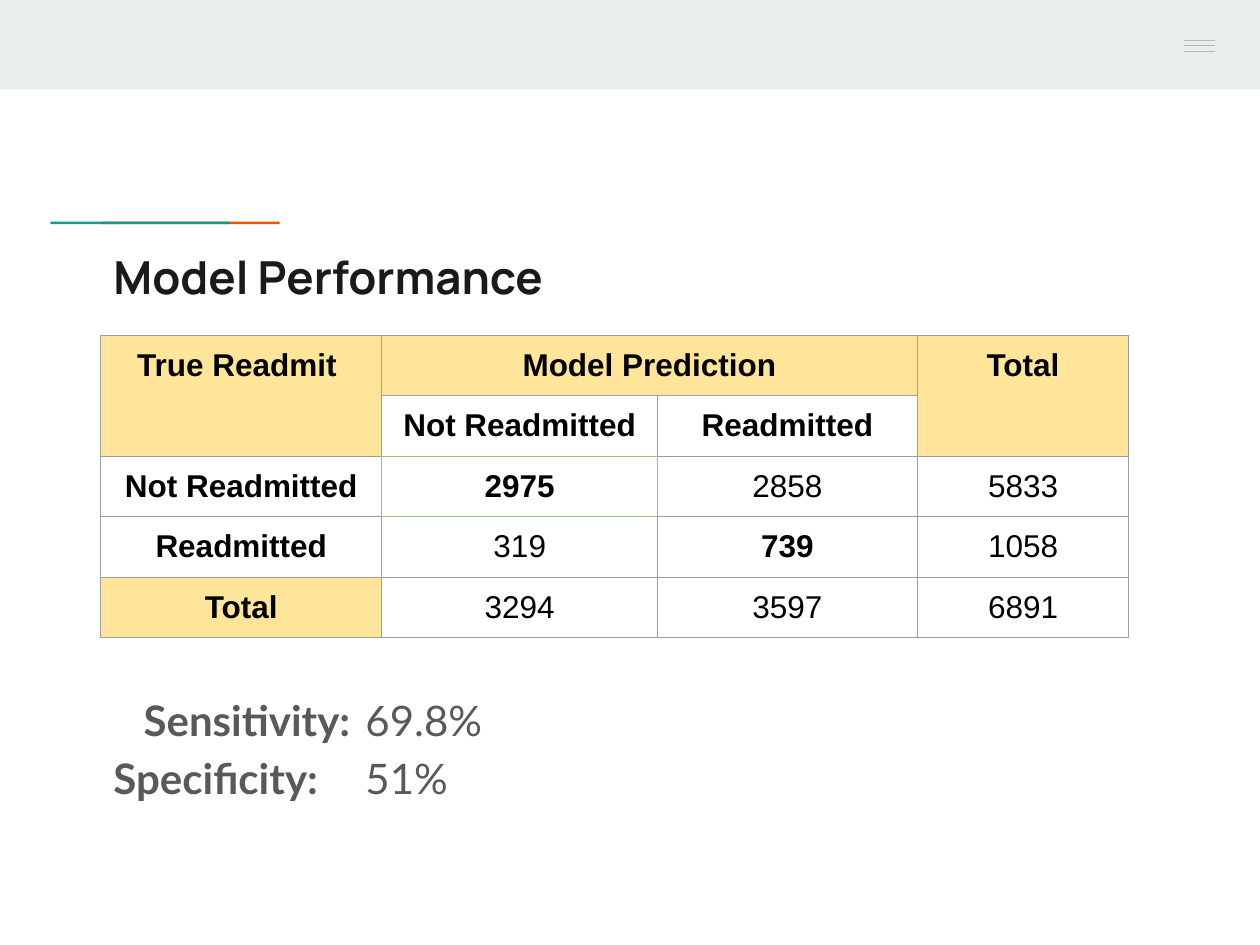
from lxml import etree
from pptx import Presentation, util as u
from pptx.dml.color import RGBColor
from pptx.enum import shapes, text
from pptx.oxml.ns import qn

GRAY, GREEN, YELLOW = "9E9E9E", "93C47D", "FFE599"
LEFT = 0.8


def color(hex_value):
    return RGBColor.from_string(hex_value)


def write(paragraph, content, font="Arial", size=18, hex_value="000000", bold=False):
    run = paragraph.add_run()
    run.text = content
    run.font.name, run.font.size, run.font.bold = font, u.Pt(size), bold
    run.font.color.rgb = color(hex_value)


presentation = Presentation()
presentation.slide_width, presentation.slide_height = u.Inches(10), u.Inches(7.5)
slide = presentation.slides.add_slide(presentation.slide_layouts[1])

# Top band and two overlapping accent strips
for left, top, width, height, fill in [
    (0, 0, 10, 0.71, "E9EDEE"),
    (0.81, 1.76, 1.41, 0.02, "EB5600"),
    (0.4, 1.76, 1.42, 0.02, "1A9988"),
]:
    strip = slide.shapes.add_shape(
        shapes.MSO_SHAPE.RECTANGLE, *map(u.Inches, (left, top, width, height)))
    strip.shadow.inherit = False
    strip.fill.solid()
    strip.fill.fore_color.rgb = color(fill)
    strip.line.fill.background()

# Menu icon
for y in (0.32, 0.36, 0.41):
    bar = slide.shapes.add_connector(
        shapes.MSO_CONNECTOR.STRAIGHT, *map(u.Inches, (9.4, y, 9.64, y)))
    bar.line.color.rgb = color("B7B7B7")
    bar.line.width = u.Pt(0.75)
    etree.SubElement(bar._element.spPr, qn("a:effectLst"))

# Title and body placeholders
title, body = slide.shapes.title, slide.placeholders[1]
for holder, top, height in [(title, 1.88, 0.78), (body, 5.35, 1.36)]:
    holder.left, holder.top = u.Inches(LEFT), u.Inches(top)
    holder.width, holder.height = u.Inches(8.41), u.Inches(height)
    frame = holder.text_frame
    frame.word_wrap = True
    frame.auto_size = text.MSO_AUTO_SIZE.NONE
    frame.vertical_anchor = text.MSO_ANCHOR.TOP
    frame.margin_left = frame.margin_right = u.Inches(0.1)
    frame.margin_top = frame.margin_bottom = u.Inches(0.1)

heading = title.text_frame.paragraphs[0]
heading.alignment = text.PP_ALIGN.LEFT
write(heading, "Model Performance", font="Manrope", size=26, hex_value="1A1A1A", bold=True)

# Measures: label, value, first-line indent and tab position
measures = [("Sensitivity:", "69.8%", 0.24, 2.13), ("Specificity:", "51%", 0, 1.96)]
for index, (label, value, indent, tab) in enumerate(measures):
    frame = body.text_frame
    paragraph = frame.add_paragraph() if index else frame.paragraphs[0]
    paragraph.line_spacing = 1.15
    paragraph.space_before = u.Pt(0)
    properties = paragraph._p.get_or_add_pPr()
    properties.set("marL", "0")
    properties.set("indent", str(u.Inches(indent)))
    etree.SubElement(properties, qn("a:buNone"))
    tabs = etree.SubElement(properties, qn("a:tabLst"))
    etree.SubElement(tabs, qn("a:tab"), pos=str(u.Inches(tab)), algn="l")
    write(paragraph, label + "\t", font="Lato", size=24, hex_value="595959", bold=True)
    write(paragraph, value, font="Lato", size=24, hex_value="595959")

# Confusion matrix
rows = [
    ["True Readmit ", "Model Prediction", "", "Total"],
    ["", "Not Readmitted", "Readmitted", ""],
    ["Not Readmitted", "2975", "2858", "5833"],
    ["Readmitted", "319", "739", "1058"],
    ["Total", "3294", "3597", "6891"],
]
widths, row_height = [2.23, 2.19, 2.06, 1.68], 0.48
table = slide.shapes.add_table(
    len(rows), len(widths), u.Inches(LEFT), u.Inches(2.66),
    u.Inches(sum(widths)), u.Inches(row_height * len(rows))).table
table.first_row = table.horz_banding = False
for column, width in zip(table.columns, widths):
    column.width = u.Inches(width)
for row in table.rows:
    row.height = u.Inches(row_height)

correct = (2, 1)  # the cell outlined in green
neighbours = {"lnL": (0, -1), "lnR": (0, 1), "lnT": (-1, 0), "lnB": (1, 0)}
for r, values in enumerate(rows):
    for c, value in enumerate(values):
        cell = table.cell(r, c)
        cell.margin_left = cell.margin_right = u.Inches(0.1)
        cell.margin_top = cell.margin_bottom = u.Inches(0.1)
        # Borders come before the fill in the cell properties
        for side, (down, across) in neighbours.items():
            green = correct in ((r, c), (r + down, c + across))
            border = etree.SubElement(cell._tc.get_or_add_tcPr(), qn("a:" + side), w="9525")
            solid = etree.SubElement(border, qn("a:solidFill"))
            etree.SubElement(solid, qn("a:srgbClr"), val=GREEN if green else GRAY)
        if r == 0 or (r, c) in ((1, 0), (1, 3), (4, 0)):
            cell.fill.solid()
            cell.fill.fore_color.rgb = color(YELLOW)
        else:
            cell.fill.background()
        if value:
            paragraph = cell.text_frame.paragraphs[0]
            paragraph.alignment = text.PP_ALIGN.CENTER
            write(paragraph, value, bold=r < 2 or c == 0 or (r, c) in (correct, (3, 2)))

for first, last in [((0, 0), (1, 0)), ((0, 1), (0, 2)), ((0, 3), (1, 3))]:
    table.cell(*first).merge(table.cell(*last))

presentation.save("out.pptx")
